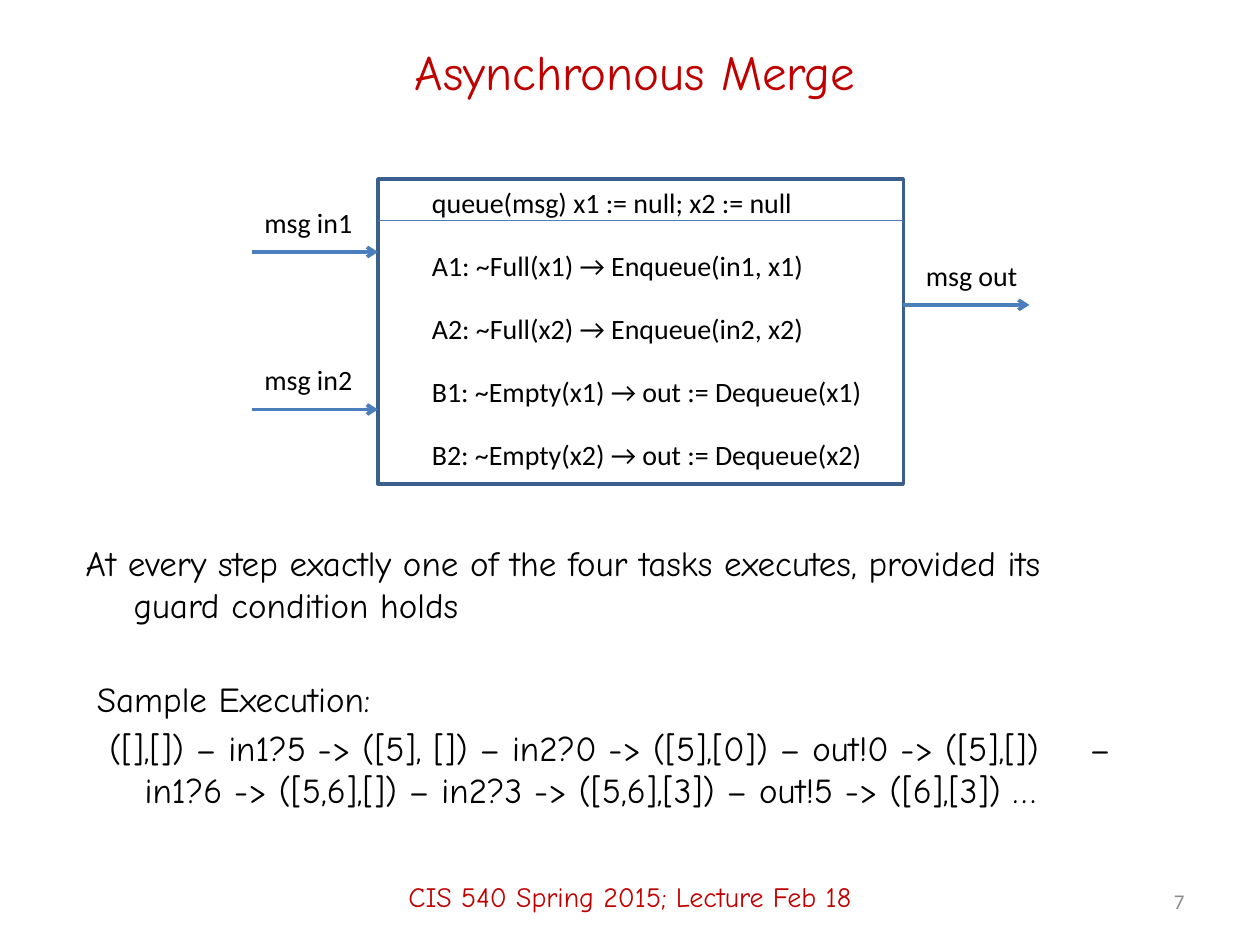
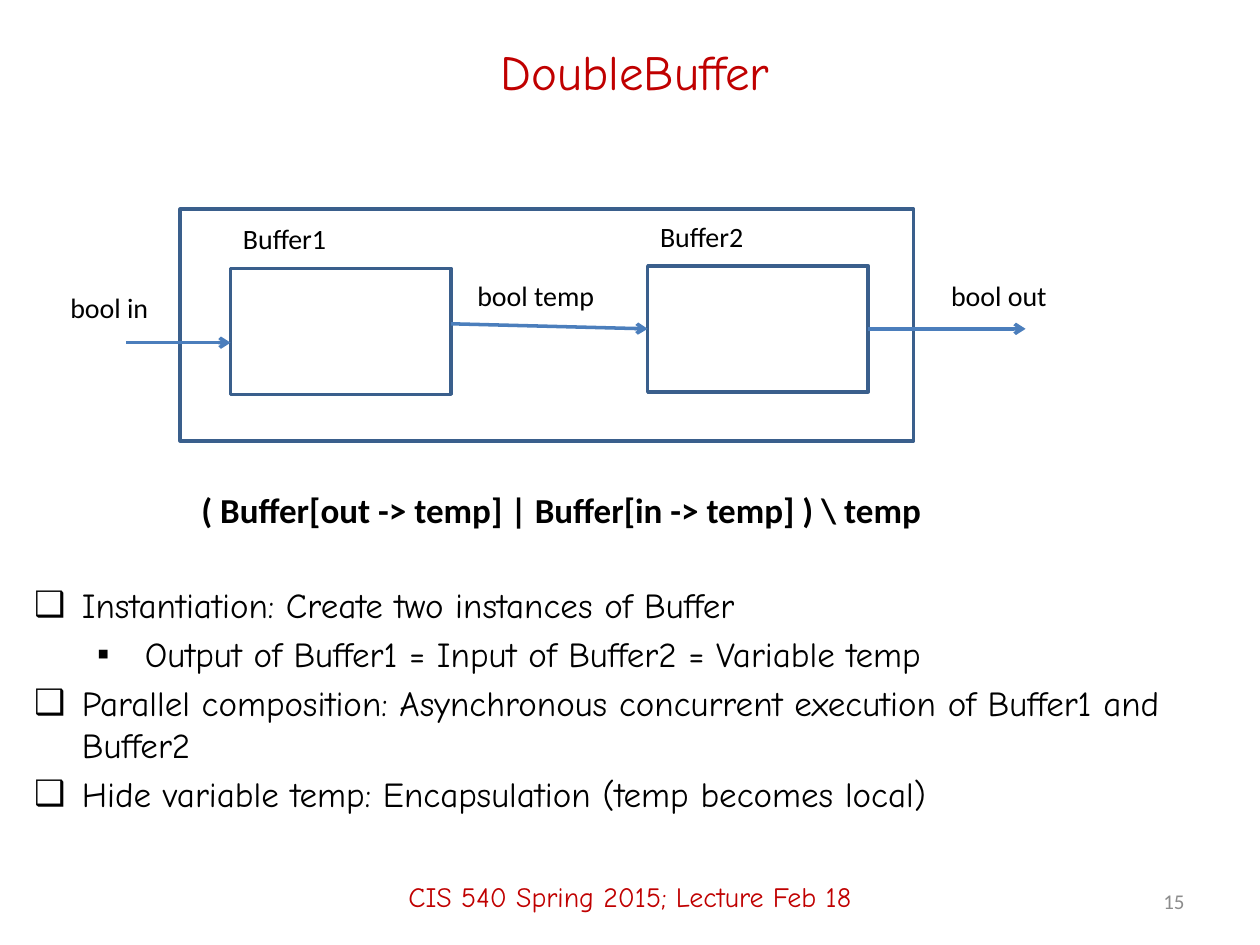
from lxml.etree import SubElement
from pptx import Presentation
from pptx.dml.color import RGBColor
from pptx.enum.shapes import MSO_CONNECTOR, MSO_SHAPE
from pptx.enum.text import MSO_ANCHOR, MSO_AUTO_SIZE, PP_ALIGN
from pptx.oxml.ns import qn
from pptx.util import Inches, Pt

RED = RGBColor(0xC0, 0x00, 0x00)
BLACK = RGBColor(0x00, 0x00, 0x00)
GRAY = RGBColor(0x8C, 0x8C, 0x8C)
OUTLINE = RGBColor(0x3A, 0x5F, 0x8C)
WIRE = RGBColor(0x4B, 0x7E, 0xBC)

TITLE = {"name": "Comic Neue", "size": Pt(28), "color": RED}
BODY = {"name": "Comic Neue", "size": Pt(20), "color": BLACK}
FOOTER = {"name": "Comic Neue", "size": Pt(16), "color": RED}
LABEL = {"name": "Calibri", "size": Pt(16), "color": BLACK}
FORMULA = {"name": "Calibri", "size": Pt(20), "color": BLACK, "bold": True}
NUMBER = {"name": "Calibri", "size": Pt(12), "color": GRAY}
BULLETS = {0: "❑", 1: "▪"}
HANG = 0.38
LABEL_HEIGHT = 0.37


class Deck:
    def __init__(self):
        self.presentation = Presentation()
        self.presentation.slide_width = Inches(10)
        self.presentation.slide_height = Inches(7.5)
        self.page = None

    def start_page(self, title, number):
        self.page = self.presentation.slides.add_slide(self.presentation.slide_layouts[1])
        box = self.place(self.page.shapes.title, 0.75, 0.17, 8.58, 0.78)
        self.frame(box, MSO_ANCHOR.MIDDLE)
        self.add_span(box.text_frame.paragraphs[0], title, TITLE, PP_ALIGN.CENTER)
        self.line_of_text("CIS 540 Spring 2015; Lecture Feb 18", (0, 6.72, 10, 0.78), FOOTER, PP_ALIGN.CENTER)
        self.line_of_text(str(number), (7.17, 6.95, 2.33, 0.4), NUMBER, PP_ALIGN.RIGHT)

    def place(self, box, left, top, width, height):
        box.left, box.top = Inches(left), Inches(top)
        box.width, box.height = Inches(width), Inches(height)
        return box

    def frame(self, box, anchor=MSO_ANCHOR.TOP, wrap=True, fit=MSO_AUTO_SIZE.NONE):
        settings = {"vertical_anchor": anchor, "word_wrap": wrap, "auto_size": fit}
        for name, value in settings.items():
            setattr(box.text_frame, name, value)

    def add_span(self, para, text, style, align=PP_ALIGN.LEFT):
        para.alignment = align
        span = para.add_run()
        span.text = text
        for name, value in style.items():
            if name == "color":
                span.font.color.rgb = value
            else:
                setattr(span.font, name, value)

    def line_of_text(self, text, area, style, align):
        box = self.page.shapes.add_textbox(*map(Inches, area))
        self.frame(box, MSO_ANCHOR.MIDDLE)
        self.add_span(box.text_frame.paragraphs[0], text, style, align)

    def label(self, text, left, top, width, height=LABEL_HEIGHT, style=LABEL):
        box = self.page.shapes.add_textbox(*map(Inches, (left, top, width, height)))
        self.frame(box, wrap=False, fit=MSO_AUTO_SIZE.SHAPE_TO_FIT_TEXT)
        self.add_span(box.text_frame.paragraphs[0], text, style)

    def body(self, lines, area, bulleted=False):
        box = self.place(self.page.placeholders[1], *area)
        self.fill_list(box, lines, bulleted)

    def note(self, lines, area):
        box = self.page.shapes.add_textbox(*map(Inches, area))
        self.fill_list(box, lines)

    def fill_list(self, box, lines, bulleted=False):
        self.frame(box)
        for index, (text, level, first_indent, tab) in enumerate(lines):
            para = box.text_frame.add_paragraph() if index else box.text_frame.paragraphs[0]
            para.level = level
            para.space_before = Pt(4 if index else 0)
            properties = para._p.get_or_add_pPr()
            properties.set("marL", str(Inches(HANG + level * 0.5)))
            properties.set("indent", str(Inches(first_indent)))
            if bulleted:
                SubElement(properties, qn("a:buChar"), char=BULLETS[level])
            else:
                SubElement(properties, qn("a:buNone"))
            if tab:
                stops = SubElement(properties, qn("a:tabLst"))
                SubElement(stops, qn("a:tab"), pos=str(Inches(tab)), algn="l")
            self.add_span(para, text, BODY)

    def rectangle(self, left, top, width, height):
        box = self.page.shapes.add_shape(MSO_SHAPE.RECTANGLE, *map(Inches, (left, top, width, height)))
        box.shadow.inherit = False
        box.fill.background()
        box.line.color.rgb = OUTLINE
        box.line.width = Pt(2)

    def wire(self, start, end, weight=2, arrow=True):
        connector = self.page.shapes.add_connector(MSO_CONNECTOR.STRAIGHT, *map(Inches, start + end))
        connector.line.color.rgb = WIRE
        connector.line.width = Pt(weight)
        properties = connector._element.spPr
        if arrow:
            SubElement(properties.find(qn("a:ln")), qn("a:tailEnd"), type="arrow")
        SubElement(properties, qn("a:effectLst"))


def item(text, level=0, first_indent=-HANG, tab=None):
    return text, level, first_indent, tab


def build_merge(deck):
    deck.start_page("Asynchronous Merge", 7)
    deck.body(
        [item("At every step exactly one of the four tasks executes, provided its guard condition holds")],
        (0.58, 4.25, 8.33, 0.83),
    )
    deck.rectangle(3, 1.42, 4.17, 2.42)
    deck.wire((3, 1.75), (7.17, 1.75), weight=0.75, arrow=False)
    for name, label_top, wire_top in (("msg in1", 1.58, 2), ("msg in2", 2.83, 3.25)):
        deck.label(name, 2, label_top, 0.91)
        deck.wire((2, wire_top), (3, wire_top))
    deck.label("msg out", 7.25, 2, 0.94)
    deck.wire((7.17, 2.42), (8.17, 2.42))
    tasks = (
        ("queue(msg) x1 := null; x2 := null", 3.09),
        ("A1: ~Full(x1) → Enqueue(in1, x1)", 3.2),
        ("A2: ~Full(x2) → Enqueue(in2, x2)", 3.2),
        ("B1: ~Empty(x1) → out := Dequeue(x1)", 3.7),
        ("B2: ~Empty(x2) → out := Dequeue(x2)", 3.7),
    )
    for row, (task, width) in enumerate(tasks):
        deck.label(task, 3.33, 1.42 + row * 0.5, width)
    execution = (
        "([],[]) – in1?5 -> ([5], []) – in2?0 -> ([5],[0]) – out!0 -> ([5],[])\t"
        "– in1?6 -> ([5,6],[]) – in2?3 -> ([5,6],[3]) – out!5 -> ([6],[3]) …"
    )
    deck.note(
        [item("Sample Execution:"), item(execution, first_indent=-0.28, tab=7.85)],
        (0.67, 5.33, 8.67, 1.33),
    )


def build_double_buffer(deck):
    deck.start_page("DoubleBuffer", 15)
    deck.body(
        [
            item("Instantiation: Create two instances of Buffer"),
            item("Output of Buffer1 = Input of Buffer2 = Variable temp", level=1),
            item("Parallel composition: Asynchronous concurrent execution of Buffer1 and Buffer2"),
            item("Hide variable temp: Encapsulation (temp becomes local)"),
        ],
        (0.17, 4.58, 9.83, 2),
        bulleted=True,
    )
    deck.rectangle(1.43, 1.66, 5.82, 1.84)
    for name, left, top in (("Buffer1", 1.83, 2.13), ("Buffer2", 5.14, 2.11)):
        deck.rectangle(left, top, 1.75, 1)
        deck.label(name, left, top - 0.42, 0.88)
    deck.wire((1, 2.72), (1.83, 2.72))
    deck.wire((3.58, 2.57), (5.14, 2.61))
    deck.wire((6.89, 2.61), (8.14, 2.61))
    deck.label("bool in", 0.46, 2.26, 0.83)
    deck.label("bool temp", 3.69, 2.16, 1.19)
    deck.label("bool out", 7.45, 2.16, 0.97)
    deck.label("( Buffer[out -> temp] | Buffer[in -> temp] ) \\ temp", 1.5, 3.83, 6.05, 0.44, FORMULA)


def main():
    deck = Deck()
    build_merge(deck)
    build_double_buffer(deck)
    deck.presentation.save("out.pptx")


if __name__ == "__main__":
    main()
